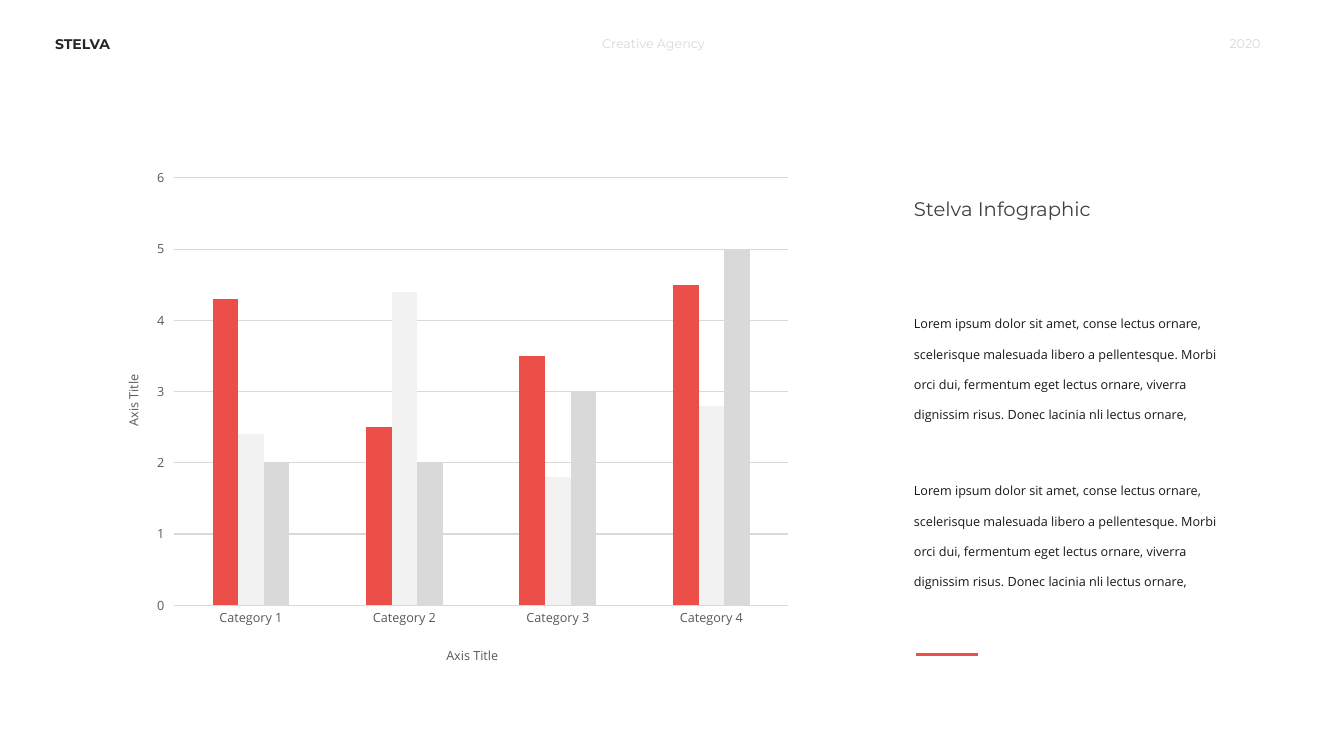
from lxml import etree
from pptx import Presentation
from pptx.chart.data import CategoryChartData
from pptx.dml.color import RGBColor
from pptx.enum.chart import XL_CHART_TYPE, XL_TICK_MARK
from pptx.enum.dml import MSO_FILL
from pptx.enum.shapes import MSO_CONNECTOR
from pptx.enum.text import MSO_AUTO_SIZE, PP_ALIGN
from pptx.oxml.ns import qn
from pptx.util import Emu, Pt

CLUSTERED = XL_CHART_TYPE.COLUMN_CLUSTERED
TICK_NONE, TICK_OUT = XL_TICK_MARK.NONE, XL_TICK_MARK.OUTSIDE
STRAIGHT = MSO_CONNECTOR.STRAIGHT
GROW = MSO_AUTO_SIZE.SHAPE_TO_FIT_TEXT
LEFT, RIGHT = PP_ALIGN.LEFT, PP_ALIGN.RIGHT

EMU_PER_PX = 9525
HEADING, BODY = "Montserrat", "Open Sans"
COLORS = {
    "accent": "EB4F48",
    "pale": "F2F2F2",
    "silver": "D9D9D9",
    "axis": "595959",
    "brand": "262626",
    "title": "404040",
    "body": "181818",
}
CATEGORIES = ["Category 1", "Category 2", "Category 3", "Category 4"]
SERIES = [
    ("Series 1", (4.3, 2.5, 3.5, 4.5), "accent"),
    ("Series 2", (2.4, 4.4, 1.8, 2.8), "pale"),
    ("Series 3", (2, 2, 3, 5), "silver"),
]
LOREM = (
    "Lorem ipsum dolor sit amet, conse lectus ornare, scelerisque malesuada "
    "libero a pellentesque. Morbi orci dui, fermentum eget lectus ornare, "
    "viverra dignissim risus. Donec lacinia nli lectus ornare,"
)


def px(length):
    return Emu(length * EMU_PER_PX)


def color(name):
    return RGBColor.from_string(COLORS[name])


def style_font(font, family=BODY, size=9, tint="axis", bold=False):
    font.name = family
    font.size = Pt(size)
    font.bold = bold
    font.color.rgb = color(tint)


def style_line(line, tint, width):
    line.color.rgb = color(tint)
    line.width = Pt(width)


def add_text(slide, text, box, align=LEFT, spacing=1.0, **font_format):
    shape = slide.shapes.add_textbox(*map(px, box))
    frame = shape.text_frame
    frame.word_wrap = True
    frame.auto_size = GROW
    paragraph = frame.paragraphs[0]
    paragraph.alignment = align
    paragraph.line_spacing = spacing
    run = paragraph.add_run()
    run.text = text
    style_font(run.font, **font_format)


def set_layout(parent, index, **values):
    for old in parent.findall(qn("c:layout")):
        parent.remove(old)
    layout = etree.Element(qn("c:layout"))
    parent.insert(index, layout)
    manual = etree.SubElement(layout, qn("c:manualLayout"))
    for name, value in values.items():
        etree.SubElement(manual, qn("c:" + name)).set("val", str(value))


def style_axis(axis, tick_mark, rotation, x, y):
    style_font(axis.tick_labels.font)
    axis.major_tick_mark = tick_mark
    axis.minor_tick_mark = TICK_NONE
    frame = axis.axis_title.text_frame
    run = frame.paragraphs[0].add_run()
    run.text = "Axis Title"
    style_font(run.font)
    frame._txBody.find(qn("a:bodyPr")).set("rot", str(rotation))
    set_layout(axis.axis_title._element, 1, xMode="edge", yMode="edge", x=x, y=y)


def add_header(slide, left, top, width):
    add_text(slide, "STELVA", (left, top, 103, 26),
             family=HEADING, size=10, tint="brand", bold=True)
    add_text(slide, "Creative Agency", (left + 521, top, 152, 24),
             family=HEADING, tint="silver")
    add_text(slide, "2020", (left + width - 152, top, 152, 24), align=RIGHT,
             family=HEADING, tint="silver")


def add_column_chart(slide, left, top, width, height):
    data = CategoryChartData()
    data.categories = CATEGORIES
    for name, values, _ in SERIES:
        data.add_series(name, values)
    box = map(px, (left, top, width, height))
    chart = slide.shapes.add_chart(CLUSTERED, *box, data).chart
    chart.has_legend = False
    chart.has_title = False
    style_font(chart.font)

    plot = chart.plots[0]
    plot.gap_width = 300
    plot.overlap = 0
    plot.vary_by_categories = False
    for series, (_, _, tint) in zip(plot.series, SERIES):
        series.format.fill.solid()
        series.format.fill.fore_color.rgb = color(tint)

    categories, values = chart.category_axis, chart.value_axis
    style_axis(categories, TICK_NONE, 0, 0.49, 0.93)
    style_line(categories.format.line, "silver", 0.75)
    style_axis(values, TICK_OUT, -5400000, 0.03, 0.41)
    values.format.line.fill.background()
    values.minimum_scale, values.maximum_scale, values.major_unit = 0, 6, 1
    values.has_major_gridlines = True
    style_line(values.major_gridlines.format.line, "silver", 0.75)
    plot_area = chart._chartSpace.find(".//" + qn("c:plotArea"))
    set_layout(plot_area, 0, layoutTarget="inner", xMode="edge", yMode="edge",
               x=0.106, y=0.037, w=0.874, h=0.821)


def add_story(slide, left, top, width):
    add_text(slide, "Stelva Infographic", (left, top, 279, 33),
             family=HEADING, size=14, tint="title")
    for row in range(2):
        add_text(slide, LOREM, (left, top + 99 + row * 159, width, 122),
                 spacing=2.0, tint="body")
    ends = (left + 11, top + 440, left + 70, top + 440)
    rule = slide.shapes.add_connector(STRAIGHT, *map(px, ends))
    style_line(rule.line, "accent", 2.25)
    etree.SubElement(rule._element.spPr, qn("a:effectLst"))


def main():
    presentation = Presentation()
    presentation.slide_width = px(1280)
    presentation.slide_height = px(720)
    slide = presentation.slides.add_slide(presentation.slide_layouts[6])
    add_header(slide, 43, 29, 1167)
    add_column_chart(slide, 95, 151, 669, 496)
    add_story(slide, 861, 183, 314)
    presentation.save("out.pptx")


if __name__ == "__main__":
    main()
